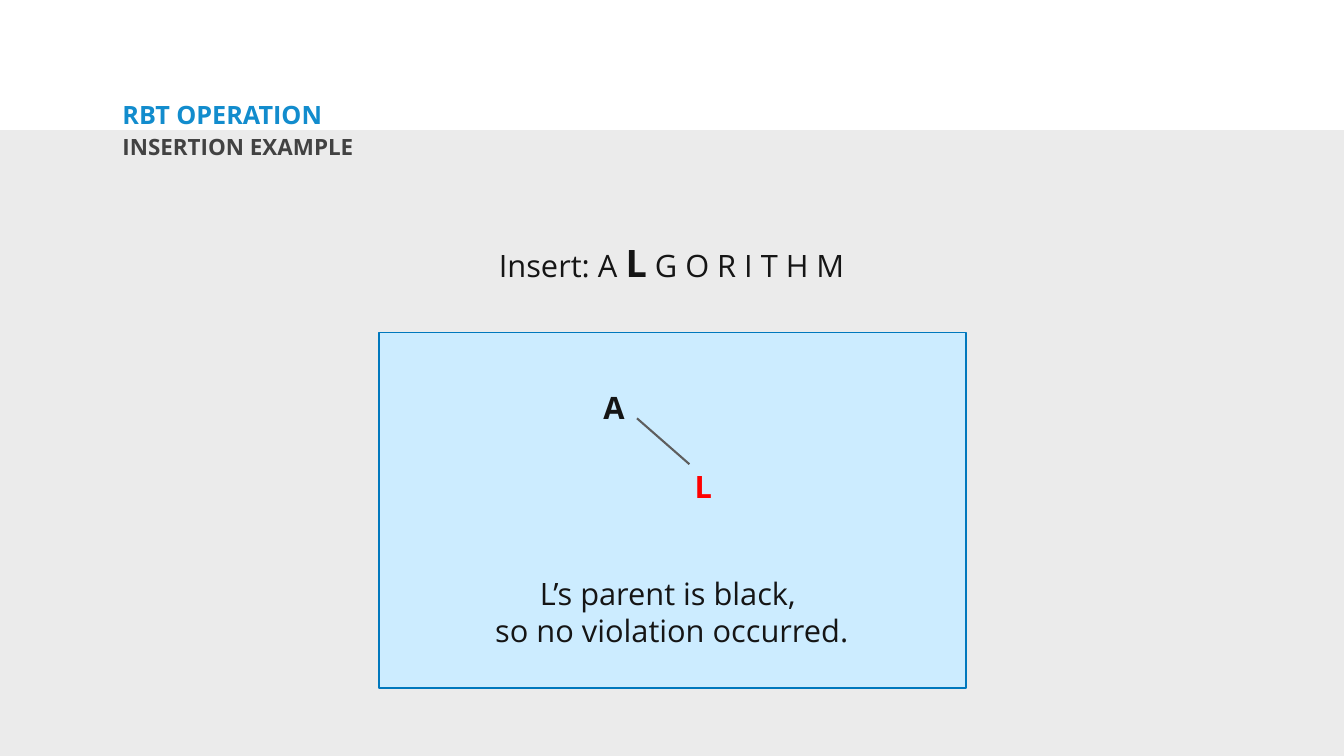
from lxml.etree import SubElement
from pptx import Presentation
from pptx.dml.color import RGBColor
from pptx.enum.shapes import MSO_CONNECTOR, MSO_SHAPE
from pptx.enum.text import MSO_ANCHOR, PP_ALIGN
from pptx.oxml.ns import qn
from pptx.util import Pt

PX = 9144
FONT = "Open Sans"
COLORS = {
    "band": "EBEBEB",
    "panel": "CCECFF",
    "border": "0078BD",
    "title": "128CCD",
    "subtitle": "424242",
    "black": "151515",
    "red": "FF0000",
    "edge": "5E5E5E",
}
SLIDE = (2667, 1500)
BAND = (0, 258, 2667, 1242)
PANEL = (752, 660, 1165, 705)

TITLE = [[("RBT OPERATION", {"size": 36, "bold": True, "color": "title"})]]
SUBTITLE = [[("INSERTION EXAMPLE", {"size": 32, "bold": True, "color": "subtitle"})]]
SEQUENCE = [[("Insert: A ", {}), ("L", {"size": 54, "bold": True}), (" G O R I T H M", {})]]
REMARK = [[("L’s parent is black, ", {})], [("so no violation occurred.", {})]]
NODES = [
    ("A", "black", (1187, 767, 63, 84)),
    ("L", "red", (1368, 924, 55, 84)),
]
EDGE = (1264, 830, 1368, 921)


def emu(box):
    return [v * PX for v in box]


def rgb(name):
    return RGBColor.from_string(COLORS[name])


def add_text(s, paragraphs, box, align=PP_ALIGN.CENTER, anchor=MSO_ANCHOR.TOP,
             inset=(10, 5), spacing=1.0, wrap=True):
    tf = s.shapes.add_textbox(*emu(box)).text_frame
    tf.word_wrap = wrap
    tf.vertical_anchor = anchor
    tf.margin_left = tf.margin_right = inset[0] * PX
    tf.margin_top = tf.margin_bottom = inset[1] * PX
    for i, runs in enumerate(paragraphs):
        p = tf.add_paragraph() if i else tf.paragraphs[0]
        p.alignment = align
        p.line_spacing = spacing
        for text, style in runs:
            r = p.add_run()
            r.text = text
            r.font.name = FONT
            r.font.size = Pt(style.get("size", 44))
            r.font.bold = style.get("bold", False)
            r.font.color.rgb = rgb(style.get("color", "black"))


def add_rect(s, box, fill, line=None):
    sp = s.shapes.add_shape(MSO_SHAPE.RECTANGLE, *emu(box))
    sp.shadow.inherit = False
    sp.fill.solid()
    sp.fill.fore_color.rgb = rgb(fill)
    if line:
        sp.line.color.rgb = rgb(line)
        sp.line.width = Pt(2)
    else:
        sp.line.fill.background()


def add_edge(s, ends):
    edge = s.shapes.add_connector(MSO_CONNECTOR.STRAIGHT, *emu(ends))
    edge.line.color.rgb = rgb("edge")
    edge.line.width = Pt(3)
    SubElement(edge._element.spPr, qn("a:effectLst"))


def main():
    prs = Presentation()
    prs.slide_width, prs.slide_height = emu(SLIDE)
    s = prs.slides.add_slide(prs.slide_layouts[6])
    add_rect(s, BAND, "band")
    add_text(s, TITLE, (237, 205, 1609, 56), align=PP_ALIGN.LEFT,
             anchor=MSO_ANCHOR.MIDDLE, inset=(6, 6), spacing=0.8)
    add_text(s, SUBTITLE, (237, 265, 1068, 88), align=PP_ALIGN.LEFT,
             inset=(6, 6), spacing=0.9)
    add_rect(s, PANEL, "panel", line="border")
    add_text(s, SEQUENCE, (972, 470, 722, 101), wrap=False)
    add_text(s, REMARK, (266, 1136, 2135, 158))
    for label, color, box in NODES:
        add_text(s, [[(label, {"bold": True, "color": color})]], box, wrap=False)
    add_edge(s, EDGE)
    prs.save("out.pptx")


if __name__ == "__main__":
    main()
